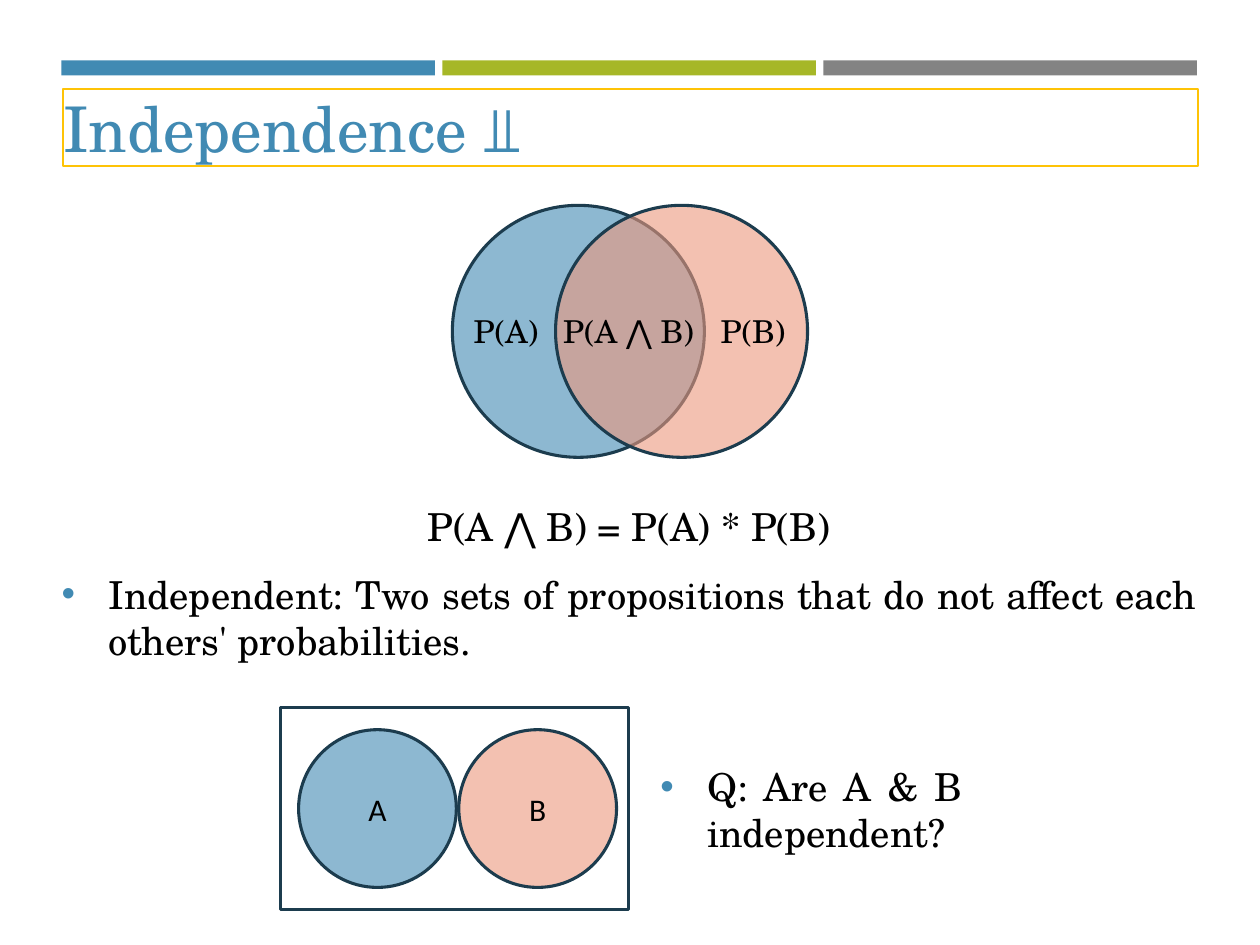
"""Build the slide that explains independence of two events."""
from dataclasses import dataclass

from lxml.etree import SubElement
from pptx import Presentation
from pptx.dml.color import RGBColor
from pptx.enum.shapes import MSO_SHAPE
from pptx.enum.text import MSO_ANCHOR, MSO_AUTO_SIZE, PP_ALIGN
from pptx.oxml.ns import qn
from pptx.util import Cm, Pt


@dataclass(frozen=True)
class Theme:
    blue: str = "418AB3"
    green: str = "A6B727"
    gray: str = "838383"
    salmon: str = "EC987D"
    navy: str = "1C3C4E"
    gold: str = "FEC306"
    ink: str = "000000"
    serif: str = "TeX Gyre Schola"
    sans: str = "Calibri"
    title_size: int = 36
    body_size: int = 22
    label_size: int = 18
    set_opacity: int = 60


class SlideBuilder:
    def __init__(self, slide, theme):
        self.slide = slide
        self.theme = theme

    def group(self):
        return self.slide.shapes.add_group_shape().shapes

    def place(self, shape, left, top, width, height):
        shape.left, shape.top = Cm(left), Cm(top)
        shape.width, shape.height = Cm(width), Cm(height)

    def style(self, paragraph, size, color, font, align):
        paragraph.alignment = align
        for run in paragraph.runs:
            run.font.size = Pt(size)
            run.font.name = font
            run.font.color.rgb = RGBColor.from_string(color)

    def frame(self, shape, inset=True):
        text_frame = shape.text_frame
        text_frame.word_wrap = True
        text_frame.auto_size = MSO_AUTO_SIZE.NONE
        if not inset:
            text_frame.vertical_anchor = MSO_ANCHOR.MIDDLE
            text_frame.margin_left = text_frame.margin_right = 0
            text_frame.margin_top = text_frame.margin_bottom = 0
        return text_frame

    def outline(self, shape, color, width):
        shape.line.color.rgb = RGBColor.from_string(color)
        shape.line.width = Pt(width)

    def shape(self, shapes, preset, box, fill=None, line=None):
        shape = shapes.add_shape(preset, *map(Cm, box))
        shape.shadow.inherit = False
        if fill:
            shape.fill.solid()
            shape.fill.fore_color.rgb = RGBColor.from_string(fill)
        else:
            shape.fill.background()
        if line:
            self.outline(shape, line, 1.75)
        else:
            shape.line.fill.background()
        return shape

    def event_circle(self, shapes, left, top, diameter, fill, letter=""):
        box = (left, top, diameter, diameter)
        circle = self.shape(shapes, MSO_SHAPE.OVAL, box, fill, self.theme.navy)
        color = circle.element.spPr.find(qn("a:solidFill"))[0]
        SubElement(color, qn("a:alpha"), val=str(self.theme.set_opacity * 1000))
        if letter:
            circle.text_frame.text = letter
            circle.text_frame.vertical_anchor = MSO_ANCHOR.MIDDLE
            self.style(circle.text_frame.paragraphs[0], self.theme.label_size,
                       self.theme.ink, self.theme.sans, PP_ALIGN.CENTER)

    def label(self, shapes, text, left, top, width, height):
        label = shapes.add_textbox(*map(Cm, (left, top, width, height)))
        text_frame = self.frame(label)
        text_frame.text = text
        self.style(text_frame.paragraphs[0], self.theme.label_size,
                   self.theme.ink, self.theme.serif, PP_ALIGN.CENTER)

    def title(self, text, *box):
        title = self.slide.shapes.title
        self.place(title, *box)
        self.outline(title, self.theme.gold, 1)
        text_frame = self.frame(title, inset=False)
        text_frame.text = text
        self.style(text_frame.paragraphs[0], self.theme.title_size,
                   self.theme.blue, self.theme.serif, PP_ALIGN.LEFT)

    def body(self, index, lines, *box):
        """Fill a body placeholder with (text, is_bullet) lines."""
        body = self.slide.placeholders[index]
        self.place(body, *box)
        text_frame = self.frame(body, inset=False)
        text_frame.text = "\n".join(text for text, _ in lines)
        for paragraph, (_, is_bullet) in zip(text_frame.paragraphs, lines):
            self.bullet(paragraph, is_bullet)
            paragraph.space_before = Pt(0)
            paragraph.space_after = Pt(12)
            self.style(paragraph, self.theme.body_size, self.theme.ink, self.theme.serif,
                       PP_ALIGN.JUSTIFY if is_bullet else PP_ALIGN.CENTER)

    def bullet(self, paragraph, is_bullet):
        properties = paragraph._p.get_or_add_pPr()
        indent = Cm(0.95) if is_bullet else 0
        properties.set("marL", str(indent))
        properties.set("indent", str(-indent))
        if is_bullet:
            color = SubElement(properties, qn("a:buClr"))
            SubElement(color, qn("a:srgbClr"), val=self.theme.blue)
            SubElement(properties, qn("a:buFont"), typeface="Arial")
            SubElement(properties, qn("a:buChar"), char="•")
        else:
            SubElement(properties, qn("a:buNone"))


def main():
    presentation = Presentation()
    presentation.slide_width, presentation.slide_height = Cm(25.4), Cm(19.05)
    theme = Theme()
    slide = presentation.slides.add_slide(presentation.slide_layouts[3])
    builder = SlideBuilder(slide, theme)

    for column, color in enumerate((theme.blue, theme.green, theme.gray)):
        bar = (1.24 + column * 7.68, 1.22, 7.53, 0.3)
        builder.shape(slide.shapes, MSO_SHAPE.RECTANGLE, bar, color)

    builder.title("Independence ⫫", 1.27, 1.8, 22.88, 1.55)
    builder.body(1, [
        ("P(A ⋀ B) = P(A) * P(B)", False),
        ("Independent: Two sets of propositions that do not affect each "
         "others' probabilities.", True),
    ], 1.24, 10.13, 22.88, 3.25)

    overlap = builder.group()
    for left, color in ((9.12, theme.blue), (11.2, theme.salmon)):
        builder.event_circle(overlap, left, 4.14, 5.08, color)
    for text, left, width in (("P(A)", 9.12, 2.16), ("P(A ⋀ B)", 10.92, 3.5),
                              ("P(B)", 14.1, 2.16)):
        builder.label(overlap, text, left, 6.17, width, 1.02)

    disjoint = builder.group()
    for letter, left, color in (("A", 6.02, theme.blue), ("B", 9.25, theme.salmon)):
        builder.event_circle(disjoint, left, 14.71, 3.18, color, letter)
    universe = (5.66, 14.27, 7.01, 4.06)
    builder.shape(disjoint, MSO_SHAPE.RECTANGLE, universe, line=theme.navy)

    builder.body(2, [("Q: Are A & B independent?", True)], 13.31, 15.37, 6.1, 1.88)
    presentation.save("out.pptx")


if __name__ == "__main__":
    main()
